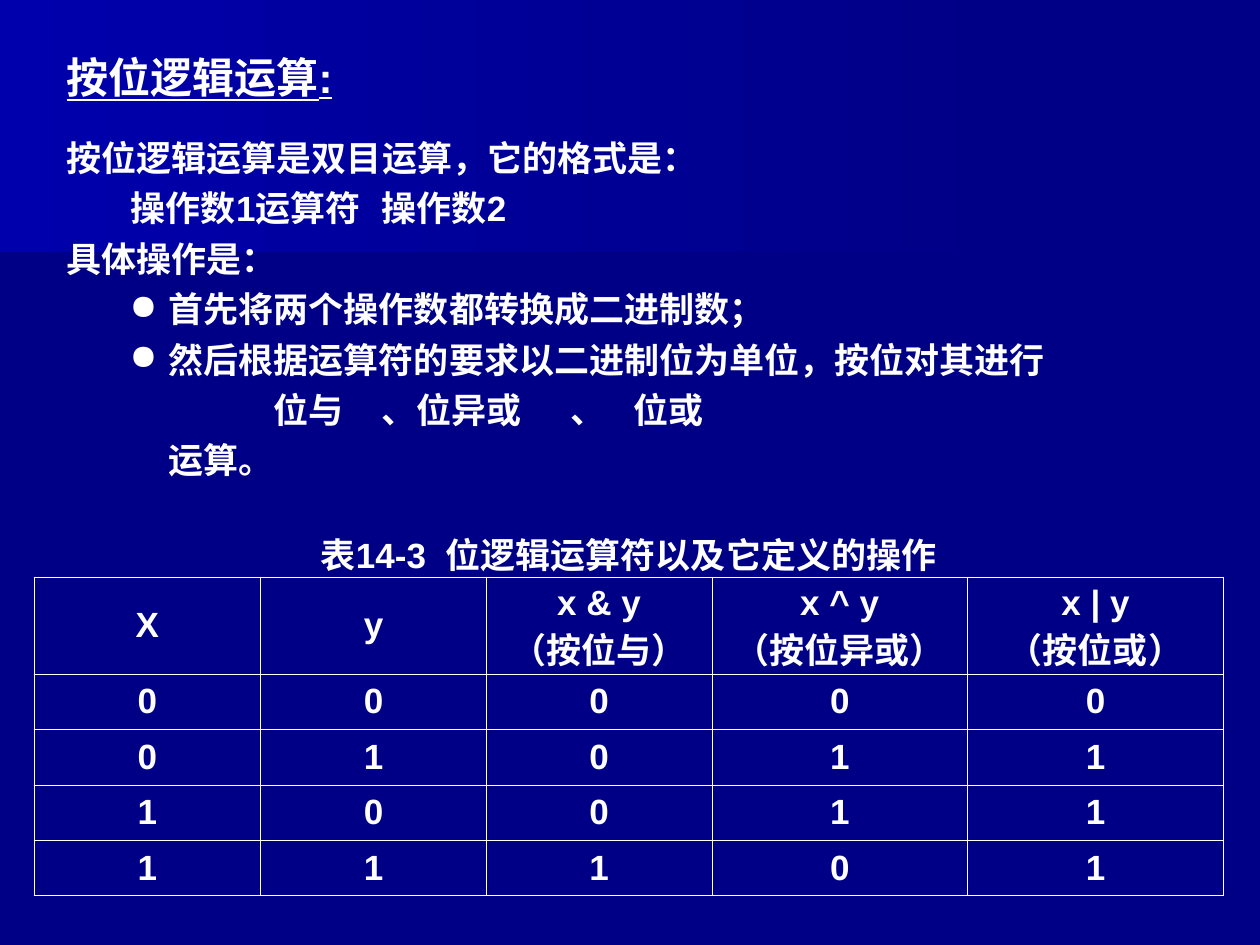
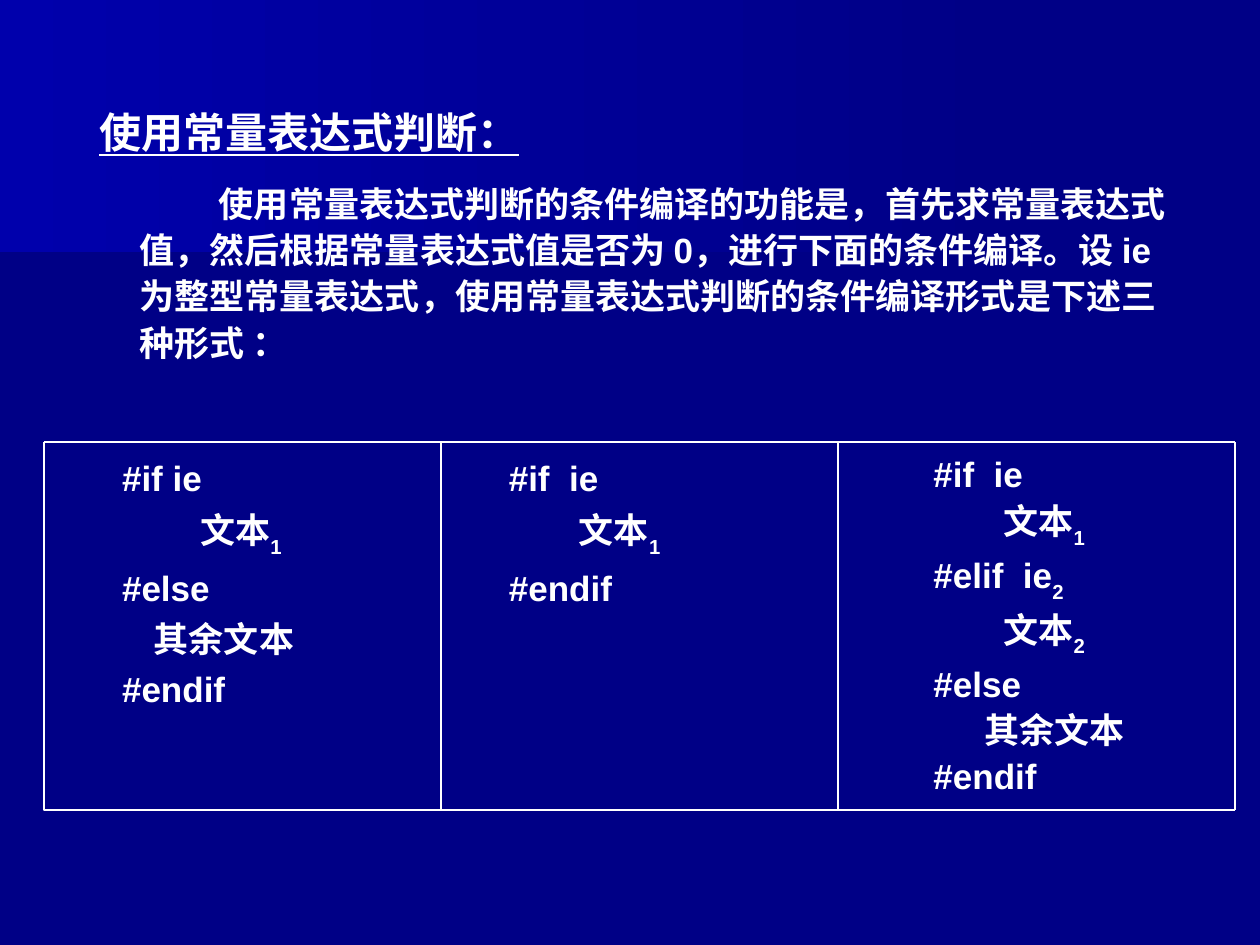
from dataclasses import dataclass

from lxml import etree
from pptx import Presentation
from pptx.dml.color import RGBColor
from pptx.enum.shapes import MSO_CONNECTOR, MSO_SHAPE
from pptx.enum.text import MSO_ANCHOR, PP_ALIGN
from pptx.oxml.ns import qn
from pptx.util import Inches, Pt

LINE = MSO_CONNECTOR.STRAIGHT
RECT = MSO_SHAPE.RECTANGLE
CENTER, LEFT = PP_ALIGN.CENTER, PP_ALIGN.LEFT
TOP, MIDDLE = MSO_ANCHOR.TOP, MSO_ANCHOR.MIDDLE


@dataclass(frozen=True)
class Theme:
    font: str = "Arial"
    bg: str = "000086"
    shade: str = "00007D"
    glow: str = "0000AC"
    ink: str = "FFFFFF"
    title: int = 24
    body: int = 20
    grid_line: float = 0.45
    box_line: float = 0.75
    frame_line: float = 1


T = Theme()
BANDS = [
    (T.shade, [(7.78, 1.53), (0, 2.17), (0, 1.01), (7.79, 1.01), (7.78, 1.28)]),
    (T.glow, [(7.92, 1.62), (0, 2.08), (0, 0), (7.92, 0)]),
]
SUB = {"base": -30}


def rgb(value):
    return RGBColor.from_string(value)


def add_element(parent, tag, **attrs):
    return etree.SubElement(parent, qn(tag), attrs)


def add_run(p, text, size=T.body, underline=False, base=0):
    r = p.add_run()
    r.text = text
    f = r.font
    f.name, f.size, f.bold, f.underline = T.font, Pt(size), True, underline
    f.color.rgb = rgb(T.ink)
    rPr = r._r.get_or_add_rPr()
    rPr.set("lang", "zh-CN")
    if base:
        rPr.set("baseline", str(base * 1000))


def write(tf, paragraphs):
    """Fill a text frame from (text or list of runs, paragraph format) pairs."""
    for i, (text, fmt) in enumerate(paragraphs):
        p = tf.paragraphs[0] if i == 0 else tf.add_paragraph()
        add_paragraph_text(p, text, **fmt)


def add_paragraph_text(p, text, left=0, first=0, spacing=1, after=0,
                       align=LEFT, bullet=None, tabs=(), **run_format):
    pPr = p._p.get_or_add_pPr()
    pPr.set("marL", str(Inches(left)))
    pPr.set("indent", str(Inches(first)))
    if bullet:
        add_element(add_element(pPr, "a:buClr"), "a:srgbClr", val=T.ink)
        add_element(pPr, "a:buChar", char=bullet)
    if tabs:
        tab_list = add_element(pPr, "a:tabLst")
        for tab in tabs:
            add_element(tab_list, "a:tab", pos=str(Inches(tab)), algn="l")
    p.alignment, p.line_spacing, p.space_after = align, spacing, Pt(after)
    p.space_before = Pt(0)
    runs = [(text, {})] if isinstance(text, str) else text
    for run_text, extra in runs:
        add_run(p, run_text, **{**run_format, **extra})


def add_text(s, box, paragraphs):
    sp = s.shapes.add_textbox(*map(Inches, box))
    sp.text_frame.word_wrap = True
    write(sp.text_frame, paragraphs)


def add_line(s, x1, y1, x2, y2):
    cx = s.shapes.add_connector(LINE, *map(Inches, (x1, y1, x2, y2)))
    cx.line.color.rgb = rgb(T.ink)
    cx.line.width = Pt(T.frame_line)
    add_element(cx._element.spPr, "a:effectLst")


def add_base_slide(prs):
    """Add a blank slide with the dark background and its two shaded bands."""
    s = prs.slides.add_slide(prs.slide_layouts[6])
    s.background.fill.solid()
    s.background.fill.fore_color.rgb = rgb(T.bg)
    for color, points in BANDS:
        builder = s.shapes.build_freeform(*points[0], scale=Inches(1))
        builder.add_line_segments(points[1:], close=True)
        sp = builder.convert_to_shape()
        sp.shadow.inherit = False
        sp.line.fill.background()
        sp.fill.gradient()
        sp.fill.gradient_angle = 180
        for stop, stop_color, place in zip(sp.fill.gradient_stops, (T.bg, color), (0, 1)):
            stop.color.rgb = rgb(stop_color)
            stop.position = place
    return s


def set_borders(cell, sides):
    """Draw the named sides (of L, R, T, B) and clear the others."""
    cell.fill.background()
    tcPr = cell._tc.get_or_add_tcPr()
    for i, side in enumerate("LRTB"):
        ln = etree.Element(qn(f"a:ln{side}"), w=str(Pt(T.grid_line)))
        if side in sides:
            add_element(add_element(ln, "a:solidFill"), "a:srgbClr", val=T.ink)
        else:
            add_element(ln, "a:noFill")
        tcPr.insert(i, ln)


def add_truth_table(s, box, caption, header, values, widths, heights):
    rows = [[caption] + [""] * (len(header) - 1), header, *values]
    table = s.shapes.add_table(len(rows), len(header), *map(Inches, box)).table
    table.first_row = table.horz_banding = False
    for col, width in zip(table.columns, widths):
        col.width = Inches(width)
    for row, height in zip(table.rows, heights):
        row.height = Inches(height)
    table.cell(0, 0).merge(table.cell(0, len(header) - 1))
    for i, row in enumerate(rows):
        for j, text in enumerate(row):
            cell = table.cell(i, j)
            set_borders(cell, "LRTB" if i else "B")
            cell.vertical_anchor = MIDDLE
            if text:
                write(cell.text_frame,
                      [(part, {"align": CENTER}) for part in text.split("\n")])


def bitwise_slide(prs):
    s = add_base_slide(prs)
    plain = {"spacing": 1.2}
    item = {**plain, "left": 0.81, "first": -0.31, "bullet": "●"}
    add_text(s, (0.43, 0.28, 9.21, 3.62), [
        ("按位逻辑运算:", {**plain, "after": 15, "size": T.title, "underline": True}),
        ("按位逻辑运算是双目运算，它的格式是：", plain),
        ("操作数1\t运算符\t操作数2", {**plain, "first": 0.51, "tabs": (1.78, 2.74)}),
        ("具体操作是：", plain),
        ("首先将两个操作数都转换成二进制数；", item),
        ("然后根据运算符的要求以二进制位为单位，按位对其进行", item),
        ("位与\t、位异或\t、\t位或",
         {**plain, "first": 1.64, "tabs": (2.38, 3.81, 4.22)}),
        ("运算。", {**plain, "left": 0.81}),
    ])
    values = [[str(v) for v in (x, y, x & y, x ^ y, x | y)]
              for x in (0, 1) for y in (0, 1)]
    add_truth_table(
        s, (0.27, 4.14, 9.45, 2.93),
        "表14-3  位逻辑运算符以及它定义的操作",
        ["X", "y", "x & y\n（按位与）", "x ^ y\n（按位异或）", "x | y\n（按位或）"],
        values,
        widths=[1.8, 1.79, 1.79, 2.03, 2.03],
        heights=[0.44, 0.77] + [0.44] * 4)


def add_code_columns(s, box, columns):
    """Place code listings side by side in a ruled frame of equal columns."""
    left, top, width, height = box
    col_width = width / len(columns)
    for i, (first, spacing, code) in enumerate(columns):
        fmt = {"left": 0.38, "first": first, "spacing": spacing}
        col_box = (left + i * col_width, top, col_width, height)
        paragraphs = [(text, fmt) for text in code]
        if i:
            add_text(s, col_box, paragraphs)
            continue
        sp = s.shapes.add_shape(RECT, *map(Inches, col_box))
        sp.shadow.inherit = False
        sp.fill.background()
        sp.line.color.rgb = rgb(T.ink)
        sp.line.width = Pt(T.box_line)
        sp.text_frame.word_wrap = True
        sp.text_frame.vertical_anchor = TOP
        write(sp.text_frame, paragraphs)
    for y in (top, top + height):
        add_line(s, left, y, left + width, y)
    for i in range(len(columns) + 1):
        x = left + i * col_width
        add_line(s, x, top, x, top + height)


def conditional_slide(prs):
    s = add_base_slide(prs)
    add_text(s, (0.63, 0.76, 8.86, 2.13), [
        ("使用常量表达式判断：", {"first": 0.06, "spacing": 1.1, "after": 12,
                         "size": T.title, "underline": True}),
        ("使用常量表达式判断的条件编译的功能是，首先求常量表达式值，"
         "然后根据常量表达式值是否为 0，进行下面的条件编译。设 ie 为整型常量表达式，"
         "使用常量表达式判断的条件编译形式是下述三种形式 ：",
         {"left": 0.38, "first": 0.63, "spacing": 1.1}),
    ])
    text_1, text_2 = ([("　　文本", {}), (n, SUB)] for n in "12")
    add_code_columns(s, (0.35, 3.51, 9.45, 2.92), [
        (0.14, 1.2, ["#if ie", [(" ", {}), *text_1], "#else", "    其余文本", "#endif"]),
        (0.06, 1.2, ["#if  ie", text_1, "#endif"]),
        (0.28, 1.1, ["#if  ie", text_1, [("#elif  ie", {}), ("2", SUB)], text_2,
                     "#else", "　  其余文本", "#endif"]),
    ])


def main():
    prs = Presentation()
    prs.slide_width, prs.slide_height = Inches(10), Inches(7.5)
    bitwise_slide(prs)
    conditional_slide(prs)
    prs.save("out.pptx")


if __name__ == "__main__":
    main()
